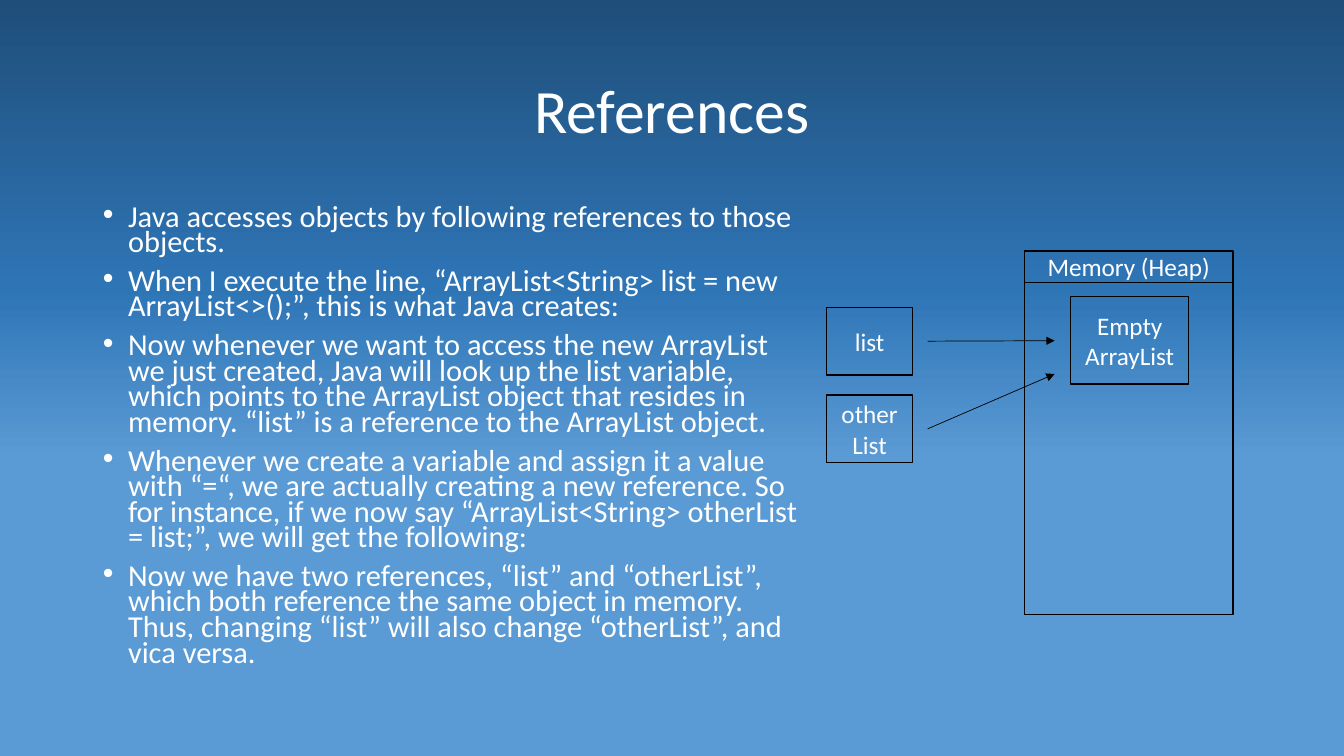
from lxml import etree
from pptx import Presentation
from pptx.dml.color import RGBColor
from pptx.enum.shapes import MSO_CONNECTOR, MSO_SHAPE
from pptx.enum.text import MSO_ANCHOR, MSO_AUTO_SIZE, PP_ALIGN
from pptx.oxml import parse_xml
from pptx.oxml.ns import nsdecls, qn
from pptx.util import Inches, Pt

RECTANGLE, STRAIGHT = MSO_SHAPE.RECTANGLE, MSO_CONNECTOR.STRAIGHT
MIDDLE, TOP = MSO_ANCHOR.MIDDLE, MSO_ANCHOR.TOP
CENTER, LEFT = PP_ALIGN.CENTER, PP_ALIGN.LEFT
NO_AUTOFIT = MSO_AUTO_SIZE.NONE

# Content
TITLE = "References"
BULLETS = [
    "Java accesses objects by following references to those objects.",
    "When I execute the line, “ArrayList<String> list = new ArrayList<>();”, "
    "this is what Java creates:",
    "Now whenever we want to access the new ArrayList we just created, Java will "
    "look up the list variable, which points to the ArrayList object that resides "
    "in memory. “list” is a reference to the ArrayList object.",
    "Whenever we create a variable and assign it a value with “=“, we are actually "
    "creating a new reference. So for instance, if we now say “ArrayList<String> "
    "otherList = list;”, we will get the following:",
    "Now we have two references, “list” and “otherList”, which both reference the "
    "same object in memory. Thus, changing “list” will also change “otherList”, "
    "and vica versa.",
]
VARIABLES = [("list", 3.38), ("otherList", 3.71)]  # name, height of the arrow's tip
HEAP_LABEL = "Memory (Heap)"
HEAP_OBJECT = "Empty ArrayList"

FONT = "Calibri"
COLORS = {"text": "FFFFFF", "line": "000000"}
GRADIENT = [(0, "1F4E79"), (38, "2E75B6"), (61, "5B9BD5")]

# Layout in inches
MARGIN, TITLE_TOP, TITLE_HEIGHT = 0.92, 0.4, 1.45
BODY_TOP, BODY_WIDTH, BODY_HEIGHT, INDENT = 2, 7.13, 5.22, 0.25
VARIABLE_LEFT, VARIABLE_TOP, VARIABLE_WIDTH, VARIABLE_HEIGHT = 8.2, 3.05, 0.85, 0.67
VARIABLE_PITCH = 0.87
ARROW_START, ARROW_END = 9.2, 10.46
HEAP_LEFT, HEAP_TOP, HEAP_WIDTH, HEAP_HEIGHT, HEADER_HEIGHT = 10.16, 2.8, 2.07, 3.3, 0.31

presentation = Presentation()
presentation.slide_width, presentation.slide_height = Inches(13.33), Inches(7.5)
slide = presentation.slides.add_slide(presentation.slide_layouts[1])


def color(name):
    return RGBColor.from_string(COLORS[name])


def place(shape, left, top, width, height):
    shape.left, shape.top = Inches(left), Inches(top)
    shape.width, shape.height = Inches(width), Inches(height)


def write(shape, texts, size, alignment, anchor, line_spacing=1.0, space_before=0):
    frame = shape.text_frame
    frame.text = "\n".join(texts)
    frame.word_wrap, frame.auto_size, frame.vertical_anchor = True, NO_AUTOFIT, anchor
    for paragraph in frame.paragraphs:
        paragraph.alignment = alignment
        paragraph.line_spacing, paragraph.space_before = line_spacing, Pt(space_before)
        paragraph.font.name, paragraph.font.size = FONT, Pt(size)
        paragraph.font.color.rgb = color("text")


def add_box(left, top, width, height, label=None):
    box = slide.shapes.add_shape(RECTANGLE, 0, 0, 0, 0)
    place(box, left, top, width, height)
    box.shadow.inherit = False
    box.fill.background()
    box.line.color.rgb, box.line.width = color("line"), Pt(1)
    if label:
        write(box, [label], 18, CENTER, MIDDLE)


def add_arrow(start_y, end_y):
    arrow = slide.shapes.add_connector(
        STRAIGHT, Inches(ARROW_START), Inches(start_y), Inches(ARROW_END), Inches(end_y))
    arrow.line.color.rgb, arrow.line.width = color("line"), Pt(0.5)
    etree.SubElement(arrow.line._get_or_add_ln(), qn("a:tailEnd"), type="triangle")
    etree.SubElement(arrow._element.spPr, qn("a:effectLst"))


# Background gradient, from top to bottom
slide.background.fill.solid()
solid_fill = next(slide.element.iter(qn("a:solidFill")))
stops = "".join(
    f'<a:gs pos="{share * 1000}"><a:srgbClr val="{value}"/></a:gs>' for share, value in GRADIENT)
solid_fill.getparent().replace(solid_fill, parse_xml(
    f'<a:gradFill {nsdecls("a")} rotWithShape="1"><a:gsLst>{stops}</a:gsLst>'
    '<a:lin ang="5400000" scaled="0"/></a:gradFill>'))

# Title and bullets
title, body = slide.shapes.title, slide.placeholders[1]
place(title, MARGIN, TITLE_TOP, 13.33 - 2 * MARGIN, TITLE_HEIGHT)
write(title, [TITLE], 44, CENTER, MIDDLE, 0.9)
place(body, MARGIN, BODY_TOP, BODY_WIDTH, BODY_HEIGHT)
write(body, BULLETS, 21.7, LEFT, TOP, 0.7, 9.5)
for paragraph in body.text_frame.paragraphs:
    properties = paragraph._p.get_or_add_pPr()
    properties.set("marL", str(Inches(INDENT)))
    properties.set("indent", str(-Inches(INDENT)))
    etree.SubElement(properties, qn("a:buChar"), char="•")

# Heap with its header and object
add_box(HEAP_LEFT, HEAP_TOP, HEAP_WIDTH, HEAP_HEIGHT)
add_box(HEAP_LEFT, HEAP_TOP - HEADER_HEIGHT, HEAP_WIDTH, HEADER_HEIGHT, HEAP_LABEL)
add_box(10.62, 2.94, 1.17, 0.87, HEAP_OBJECT)

# Variables and their references
for row, (name, tip_y) in enumerate(VARIABLES):
    top = VARIABLE_TOP + row * VARIABLE_PITCH
    add_box(VARIABLE_LEFT, top, VARIABLE_WIDTH, VARIABLE_HEIGHT, name)
    add_arrow(top + VARIABLE_HEIGHT / 2, tip_y)

presentation.save("out.pptx")
